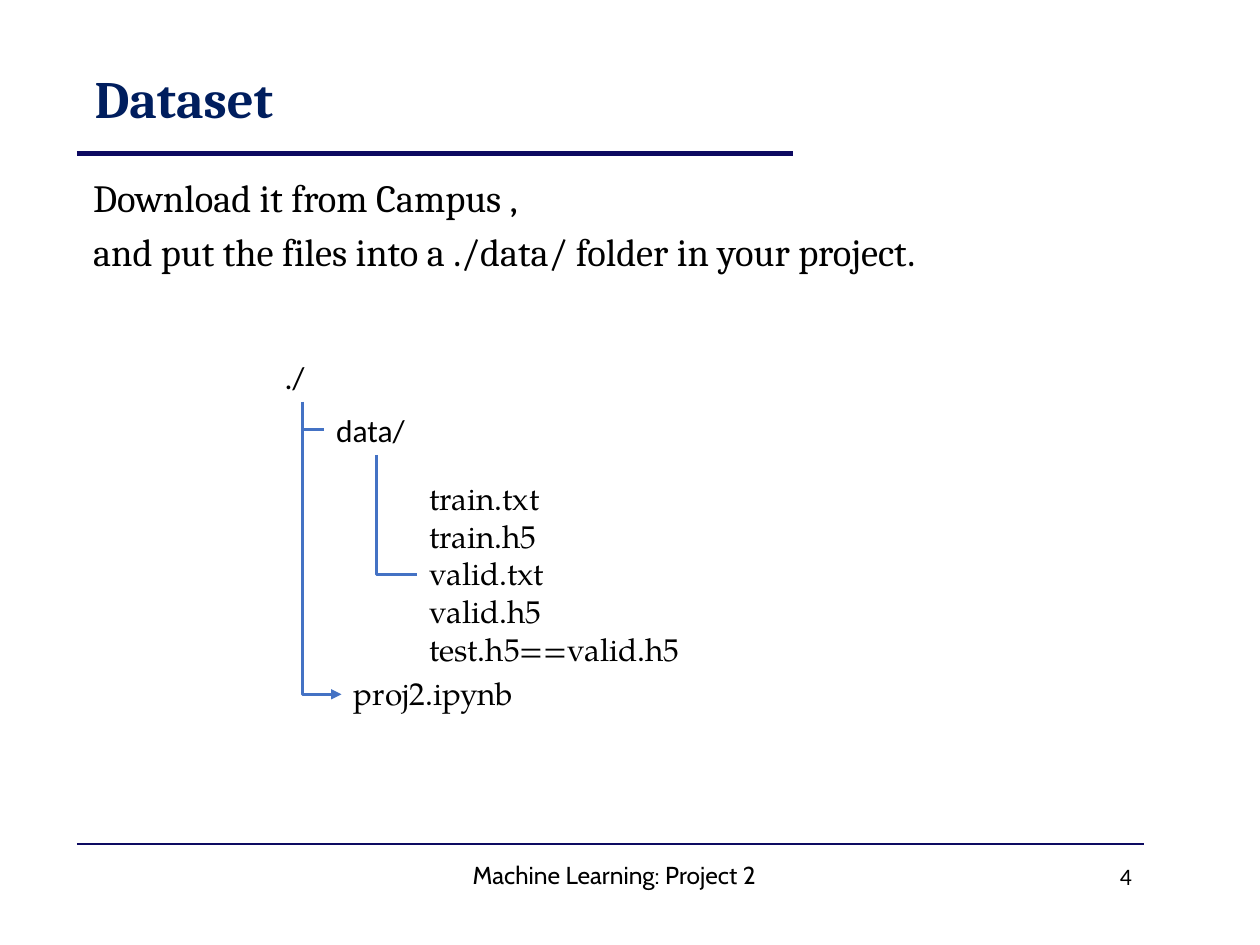
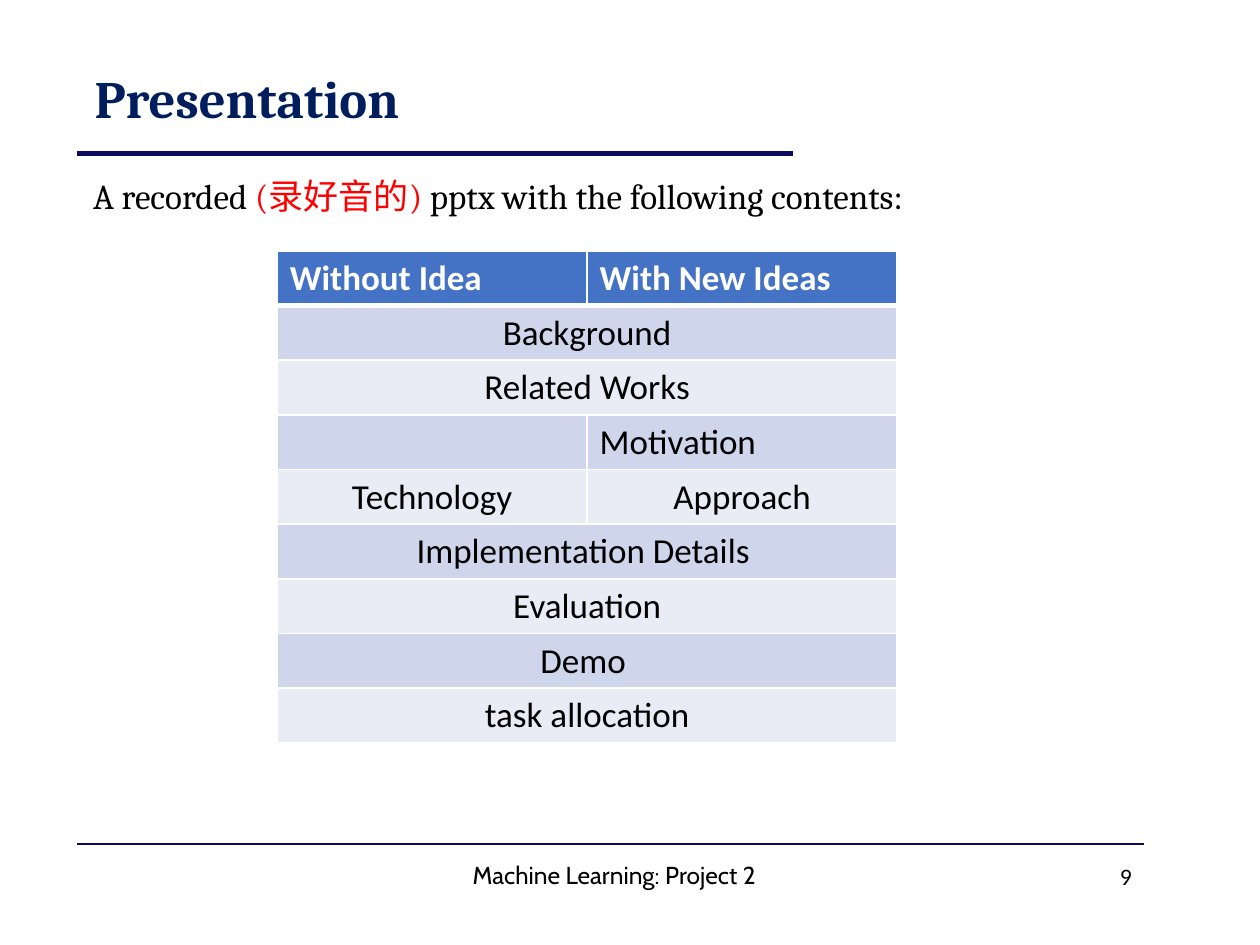
from lxml import etree
from pptx import Presentation
from pptx.dml.color import RGBColor
from pptx.enum import shapes, text
from pptx.oxml import ns
from pptx.util import Pt

PX = 9144  # EMU in one px, 100 px to the inch

NAVY = RGBColor(0x00, 0x1E, 0x5E)
RULE = RGBColor(0x0D, 0x0A, 0x61)
BLUE = RGBColor(0x44, 0x72, 0xC4)
RED = RGBColor(0xFF, 0x00, 0x00)
BLACK = RGBColor(0x00, 0x00, 0x00)
WHITE = RGBColor(0xFF, 0xFF, 0xFF)
BANDS = [RGBColor(0xCF, 0xD5, 0xEA), RGBColor(0xE9, 0xEB, 0xF5)]

SERIF, SANS, FOOT, FILES = "Cambria", "Calibri", "Cabin", "TeX Gyre Pagella"
LEFT, CENTER, RIGHT = text.PP_ALIGN.LEFT, text.PP_ALIGN.CENTER, text.PP_ALIGN.RIGHT


def write(frame, lines, font, size, align=LEFT, bold=False, color=BLACK, spacing=None, gap=0):
    """Fill a text frame; a line is a list of (words, colour) or a plain string."""
    frame.word_wrap = True
    frame.vertical_anchor = text.MSO_ANCHOR.TOP
    for number, line in enumerate(lines):
        paragraph = frame.paragraphs[0] if number == 0 else frame.add_paragraph()
        paragraph.alignment = align
        paragraph.line_spacing = spacing
        paragraph.space_before = Pt(gap if number else 0)
        for words, shade in [(line, color)] if isinstance(line, str) else line:
            run = paragraph.add_run()
            run.text = words
            look = {"name": font, "size": Pt(size), "bold": bold}
            for key, value in look.items():
                setattr(run.font, key, value)
            run.font.color.rgb = shade


def connect(slide, kind, start, end, color, weight):
    """Draw a connector without a shadow."""
    line = slide.shapes.add_connector(kind, *[round(v * PX) for v in (*start, *end)])
    line.line.color.rgb = color
    line.line.width = Pt(weight)
    etree.SubElement(line._element.spPr, ns.qn("a:effectLst"))
    return line


deck = Presentation()
deck.slide_width, deck.slide_height = 1000 * PX, 750 * PX

# What both slides share: title, rules, footer, page number
pages = []
for heading, page_number in [("Dataset", "4"), ("Presentation", "9")]:
    slide = deck.slides.add_slide(deck.slide_layouts[5])
    pages.append(slide)
    title = slide.shapes.title
    title.left, title.top, title.width, title.height = [v * PX for v in (65, 53, 847, 69)]
    write(title.text_frame, [heading], SERIF, 30, bold=True, color=NAVY, spacing=0.9)
    for y, right, weight in [(122, 629, 3), (670, 908, 1)]:
        connect(slide, shapes.MSO_CONNECTOR.STRAIGHT, (61, y), (right, y), RULE, weight)
    footer = slide.shapes.add_textbox(*[v * PX for v in (282, 678, 411, 34)])
    write(footer.text_frame, ["Machine Learning: Project 2"], FOOT, 14, CENTER)
    number_box = slide.shapes.add_textbox(*[v * PX for v in (683, 679, 225, 35)])
    write(number_box.text_frame, [page_number], SANS, 13.5, RIGHT)

dataset, presentation = pages

# Dataset: instructions
instructions = dataset.shapes.add_textbox(*[v * PX for v in (64, 137, 847, 88)])
write(instructions.text_frame,
      ["Download it from Campus ,",
       "and put the files into a ./data/ folder in your project."],
      SERIF, 22, spacing=0.9, gap=7.5)

# Dataset: folder tree
data_files = ["train.txt", "train.h5", "valid.txt", "valid.h5", "test.h5==valid.h5"]
for place, names, font in [
    ((216, 279, 48, 40), ["./"], SANS),
    ((257, 321, 84, 40), ["data/"], SANS),
    ((331, 375, 219, 162), data_files, FILES),
    ((271, 530, 219, 40), ["proj2.ipynb"], FILES),
]:
    entry = dataset.shapes.add_textbox(*[v * PX for v in place])
    write(entry.text_frame, names, font, 18)

# Dataset: branches go down and then right, so the elbow is turned and mirrored
for x, y, end_x, end_y, arrow in [
    (240, 319, 257, 341, False),
    (299, 361, 331, 456, False),
    (240, 319, 271, 551, True),
]:
    across, down = end_x - x, end_y - y
    left, top = (x + end_x - down) / 2, (y + end_y - across) / 2
    branch = connect(dataset, shapes.MSO_CONNECTOR.ELBOW, (left, top),
                     (left + down, top + across), BLUE, 1.5)
    properties = branch._element.spPr
    properties.find(ns.qn("a:prstGeom")).set("prst", "bentConnector2")
    turn = properties.find(ns.qn("a:xfrm"))
    turn.set("rot", str(270 * 60000))
    turn.set("flipH", "1")
    if arrow:
        etree.SubElement(branch.line._get_or_add_ln(), ns.qn("a:tailEnd"), type="triangle")

# Presentation: lead-in
lead_in = presentation.shapes.add_textbox(*[v * PX for v in (64, 137, 847, 50)])
write(lead_in.text_frame,
      [[("A recorded ", BLACK), ("(录好音的) ", RED),
        ("pptx with the following contents:", BLACK)]],
      SERIF, 20, spacing=0.9)

# Presentation: contents table, where a row with one entry spans both columns
contents = [
    (LEFT, ["Without Idea", "With New Ideas"]),
    (CENTER, ["Background"]),
    (CENTER, ["Related Works"]),
    (LEFT, ["", "Motivation"]),
    (CENTER, ["Technology", "Approach"]),
    (CENTER, ["Implementation Details "]),
    (CENTER, ["Evaluation"]),
    (CENTER, ["Demo "]),
    (CENTER, ["task allocation"]),
]
outline = presentation.shapes.add_table(
    len(contents), 2, *[v * PX for v in (220, 199, 492, 41 * len(contents))]).table
for row, (align, entries) in enumerate(contents):
    header = row == 0
    for column in range(2):
        cell = outline.cell(row, column)
        for side in ("lnL", "lnR", "lnT", "lnB"):
            thick = (header and side == "lnB") or (row == 1 and side == "lnT")
            edge = etree.SubElement(cell._tc.get_or_add_tcPr(), ns.qn("a:" + side),
                                    w=str(Pt(3 if thick else 1)))
            paint = etree.SubElement(edge, ns.qn("a:solidFill"))
            etree.SubElement(paint, ns.qn("a:srgbClr"), val=str(WHITE))
        cell.fill.solid()
        cell.fill.fore_color.rgb = BLUE if header else BANDS[(row - 1) % 2]
    if len(entries) == 1:
        outline.cell(row, 0).merge(outline.cell(row, 1))
    for column, entry in enumerate(entries):
        if entry:
            write(outline.cell(row, column).text_frame, [entry], SANS, 20, align,
                  bold=header, color=WHITE if header else BLACK)

deck.save("out.pptx")
